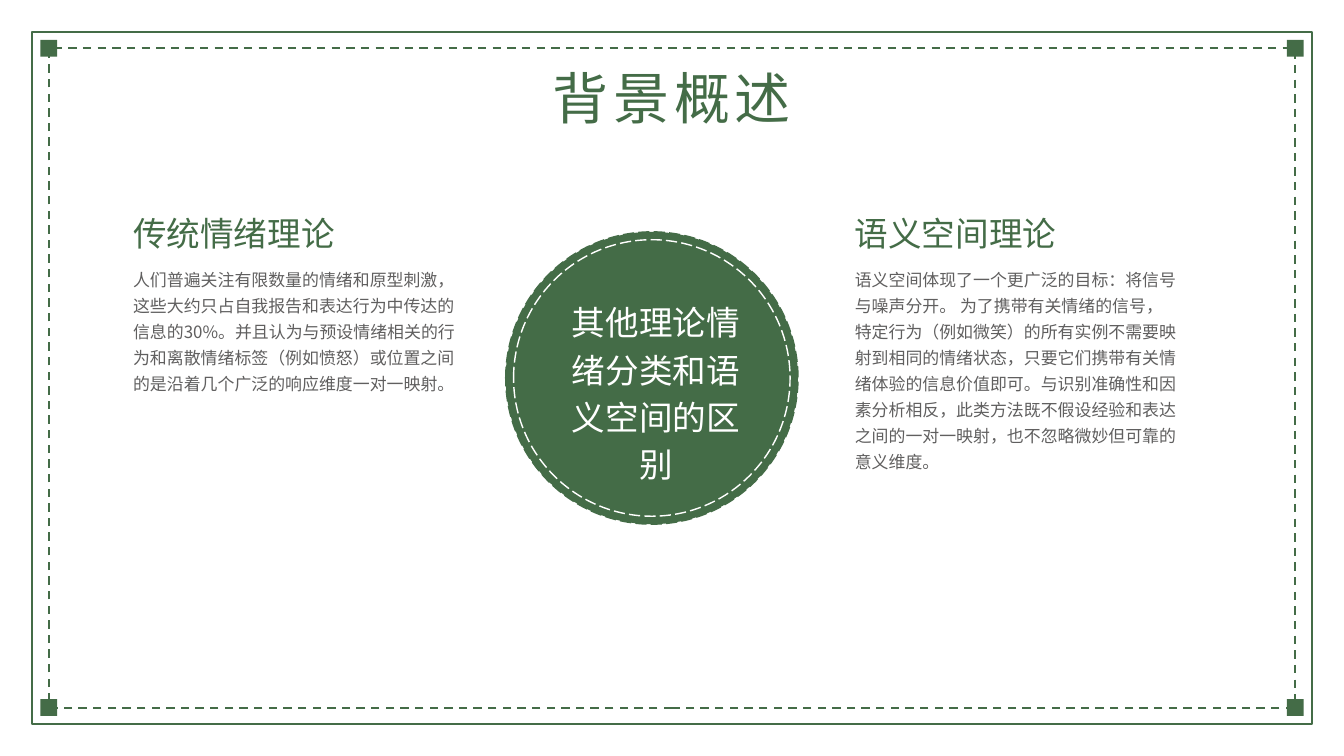
from lxml.etree import SubElement
from pptx import Presentation
from pptx.dml.color import RGBColor
from pptx.enum.dml import MSO_LINE as Dash
from pptx.enum.lang import MSO_LANGUAGE_ID as Language
from pptx.enum.shapes import MSO_SHAPE as Shape
from pptx.enum.text import MSO_ANCHOR as Anchor, MSO_AUTO_SIZE as AutoSize, PP_ALIGN as Align
from pptx.oxml.ns import qn
from pptx.util import Inches, Pt

# Grid of square cells, 80 columns by 45 rows
COLUMNS, ROWS, CELL = 80, 45, 0.25
COLORS = {"green": "446C47", "white": "FFFFFF", "gray": "605F5F"}
LATIN, CJK = "Calibri", "Noto Sans CJK JP"
COMPARISON_LAYOUT = 4

TRADITIONAL = [
    ("人们普遍关注有限数量的情绪和原型刺激", LATIN),
    ("，这些大约只占自我报告和表达行为中传达的信息的30%。并且认为与预设情绪相关的"
     "行为和离散情绪标签（例如愤怒）或位置之间的是沿着几个广泛的响应维度", CJK),
    ("一对一映射。", LATIN),
]
SEMANTIC = [
    ("语义空间体现了一个更广泛的目标：将信号与噪声分开。 为了携带有关情绪的信号，"
     "特定行为（例如微笑）的所有实例不需要映射到相同的情绪状态，只要它们携带有关情绪"
     "体验的信息价值即可。与识别准确性和因素分析相反，此类方法既不假设经验和表达之间的"
     "一对一映射，也不忽略微妙但可靠的意义维度。", LATIN),
]


def grid(*cells):
    return [Inches(cell * CELL) for cell in cells]


def color(name):
    return RGBColor.from_string(COLORS[name])


def inset(box, amount):
    left, top, width, height = box
    return left + amount, top + amount, width - 2 * amount, height - 2 * amount


def add_outline(slide, kind, box, fill=None, line=None, width=1.5, dash=None):
    shape = slide.shapes.add_shape(kind, *grid(*box))
    shape.shadow.inherit = False
    if fill:
        shape.fill.solid()
        shape.fill.fore_color.rgb = color(fill)
    else:
        shape.fill.background()
    if line:
        shape.line.color.rgb = color(line)
        shape.line.width = Pt(width)
        if dash:
            shape.line.dash_style = dash
    else:
        shape.line.fill.background()
    return shape


def write_text(shape, runs, box, size, ink, leading, align=Align.LEFT, tracking=0):
    """Place a text shape and fill it with one paragraph of (text, font) runs."""
    shape.left, shape.top, shape.width, shape.height = grid(*box)
    frame = shape.text_frame
    frame.word_wrap = True
    frame.auto_size = AutoSize.NONE
    frame.vertical_anchor = Anchor.TOP
    frame.margin_left = frame.margin_top = frame.margin_right = frame.margin_bottom = 0
    paragraph = frame.paragraphs[0]
    paragraph.alignment = align
    paragraph.line_spacing = Pt(leading)
    paragraph.space_before = paragraph.space_after = Pt(0)
    properties = paragraph._p.get_or_add_pPr()
    properties.set("marL", "0")
    properties.set("indent", "0")
    SubElement(properties, qn("a:buNone"))
    for text, font_name in runs:
        run = paragraph.add_run()
        run.text = text
        font = run.font
        font.name, font.size, font.bold = font_name, Pt(size), False
        font.color.rgb = color(ink)
        font.language_id = Language.SIMPLIFIED_CHINESE
        if tracking:
            run._r.get_or_add_rPr().set("spc", str(tracking * 100))


def add_frame(slide, box):
    # Solid border, dashed border and a square on each dashed corner
    add_outline(slide, Shape.RECTANGLE, box, "white", "green", 2.25)
    dashed = left, top, width, height = inset(box, 1)
    add_outline(slide, Shape.RECTANGLE, dashed, "white", "green", 2.25, Dash.DASH)
    for y in (top, top + height):
        for x in (left, left + width):
            add_outline(slide, Shape.RECTANGLE, (x - 0.5, y - 0.5, 1, 1), "green")


def add_badge(slide, box, text):
    # Stitched disc with a caption
    add_outline(slide, Shape.OVAL, box, "green", "green", dash=Dash.LONG_DASH)
    add_outline(slide, Shape.OVAL, inset(box, 0.47), line="white", dash=Dash.LONG_DASH)
    left, top, width, height = box
    caption = slide.shapes.add_textbox(0, 0, 0, 0)
    caption_box = (left + 3.7, top + 3.8, width - 6.92, height - 6.32)
    write_text(caption, [(text, LATIN)], caption_box, 36, "white", 50.4, Align.CENTER)


def fill_theory(heading, body, box, title, runs):
    # Heading above its paragraph
    left, top, width, height = box
    write_text(heading, [(title, LATIN)], (left, top, 16.2, 2.72), 36, "green", 50.4)
    write_text(body, runs, (left, top + 3.4, width, height - 3.4), 18.1, "gray", 27.9)


def main():
    presentation = Presentation()
    presentation.slide_width, presentation.slide_height = grid(COLUMNS, ROWS)
    slide = presentation.slides.add_slide(presentation.slide_layouts[COMPARISON_LAYOUT])
    holders = {holder.placeholder_format.idx: holder for holder in slide.placeholders}
    for index in (10, 11, 12):
        if index in holders:
            holder = holders.pop(index)
            holder.element.getparent().remove(holder.element)

    add_frame(slide, (1.9, 1.88, COLUMNS - 3.8, ROWS - 3.76))
    add_badge(slide, (30.1, 13.8, 17.4, 17.4), "其他理论情绪分类和语义空间的区别")

    # Text goes in front of the filled frame
    for holder in holders.values():
        slide.shapes.element.append(holder.element)
    write_text(holders[0], [("背景概述", LATIN)], (21.08, 3.12, 37.84, 4.56),
               60, "green", 84, Align.CENTER, tracking=5)
    fill_theory(holders[1], holders[2], (7.92, 12.28, 19.24, 11.04),
                "传统情绪理论", TRADITIONAL)
    fill_theory(holders[3], holders[4], (50.88, 12.28, 19.24, 15.68),
                "语义空间理论", SEMANTIC)

    presentation.save("out.pptx")


if __name__ == "__main__":
    main()
